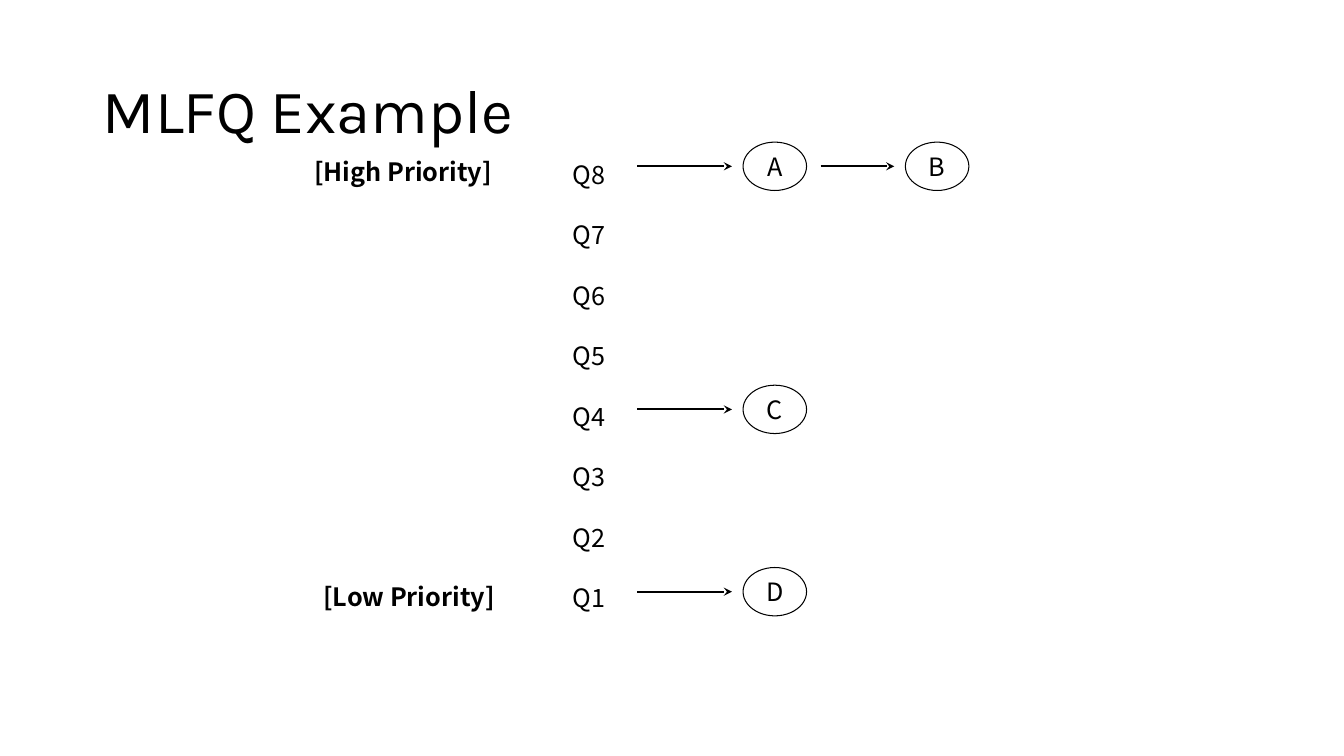
"""Build the MLFQ example slide: eight priority queues and their waiting jobs."""
from lxml import etree
from pptx import Presentation
from pptx import util as u
from pptx.dml.color import RGBColor
from pptx.enum import shapes, text
from pptx.oxml.ns import qn

THEME = {
    "ink": RGBColor(0, 0, 0),
    "paper": RGBColor(255, 255, 255),
    "title": {"name": "Karla", "size": u.Pt(44)},
    "body": {"name": "Noto Sans CJK KR", "size": u.Pt(18)},
    "arrow": u.Pt(1.5),
    "outline": u.Pt(0.75),
}
QUEUES = 8
TOP_ROW, ROW = 1.65, 4.22 / (QUEUES - 1)
FIRST_JOB, COLUMN = 7.37, 1.61
JOB_WIDTH, JOB_HEIGHT = 0.63, 0.48
ARROW_START, GAP_BEFORE, GAP_AFTER = 6.32, 0.14, 0.11
JOBS = {8: "AB", 4: "C", 1: "D"}


def write(frame, lines, font, spacing=1.0, align=text.PP_ALIGN.LEFT, bold=False):
    frame.text = "\n".join(lines)
    for paragraph in frame.paragraphs:
        paragraph.line_spacing = spacing
        paragraph.alignment = align
        for key, value in {**THEME[font], "bold": bold}.items():
            setattr(paragraph.font, key, value)
        paragraph.font.color.rgb = THEME["ink"]


def inches(*lengths):
    return [u.Inches(length) for length in lengths]


deck = Presentation()
deck.slide_width, deck.slide_height = inches(13.33, 7.5)
slide = deck.slides.add_slide(deck.slide_layouts[5])

heading = slide.shapes.title
heading.left, heading.top, heading.width, heading.height = inches(0.92, 0.4, 11.5, 1.45)
heading.text_frame.vertical_anchor = text.MSO_ANCHOR.MIDDLE
heading.text_frame.auto_size = text.MSO_AUTO_SIZE.NONE
write(heading.text_frame, ["MLFQ Example"], "title", 0.9)

queue_names = [f"Q{level}" for level in range(QUEUES, 0, -1)]
for lines, area, bold in [
    (queue_names, (5.58, 1.23, 0.73, 4.95), False),
    (["[High Priority]"], (3.02, 1.2, 2.47, 0.71), True),
    (["[Low Priority]"], (3.11, 1.2 + ROW * (QUEUES - 1), 2.47, 0.71), True),
]:
    label = slide.shapes.add_textbox(*inches(*area)).text_frame
    label.word_wrap = True
    label.auto_size = text.MSO_AUTO_SIZE.SHAPE_TO_FIT_TEXT
    write(label, lines, "body", 2.0, bold=bold)

for level, names in JOBS.items():
    row_y = TOP_ROW + (QUEUES - level) * ROW
    start = ARROW_START
    for position, name in enumerate(names):
        job_x = FIRST_JOB + position * COLUMN
        arrow = slide.shapes.add_connector(
            shapes.MSO_CONNECTOR.STRAIGHT, *inches(start, row_y, job_x - GAP_AFTER, row_y))
        arrow.line.color.rgb = THEME["ink"]
        arrow.line.width = THEME["arrow"]
        etree.SubElement(arrow.line._get_or_add_ln(), qn("a:tailEnd"), type="stealth")
        etree.SubElement(arrow._element.spPr, qn("a:effectLst"))

        job = slide.shapes.add_shape(
            shapes.MSO_SHAPE.OVAL,
            *inches(job_x, row_y - JOB_HEIGHT / 2, JOB_WIDTH, JOB_HEIGHT))
        job.shadow.inherit = False
        job.fill.solid()
        job.fill.fore_color.rgb = THEME["paper"]
        job.line.color.rgb = THEME["ink"]
        job.line.width = THEME["outline"]
        for side, inset in {"left": 0.08, "top": 0.05, "right": 0.08, "bottom": 0.05}.items():
            setattr(job.text_frame, f"margin_{side}", u.Inches(inset))
        job.text_frame.vertical_anchor = text.MSO_ANCHOR.MIDDLE
        write(job.text_frame, [name], "body", align=text.PP_ALIGN.CENTER)
        start = job_x + JOB_WIDTH + GAP_BEFORE

deck.save("out.pptx")
